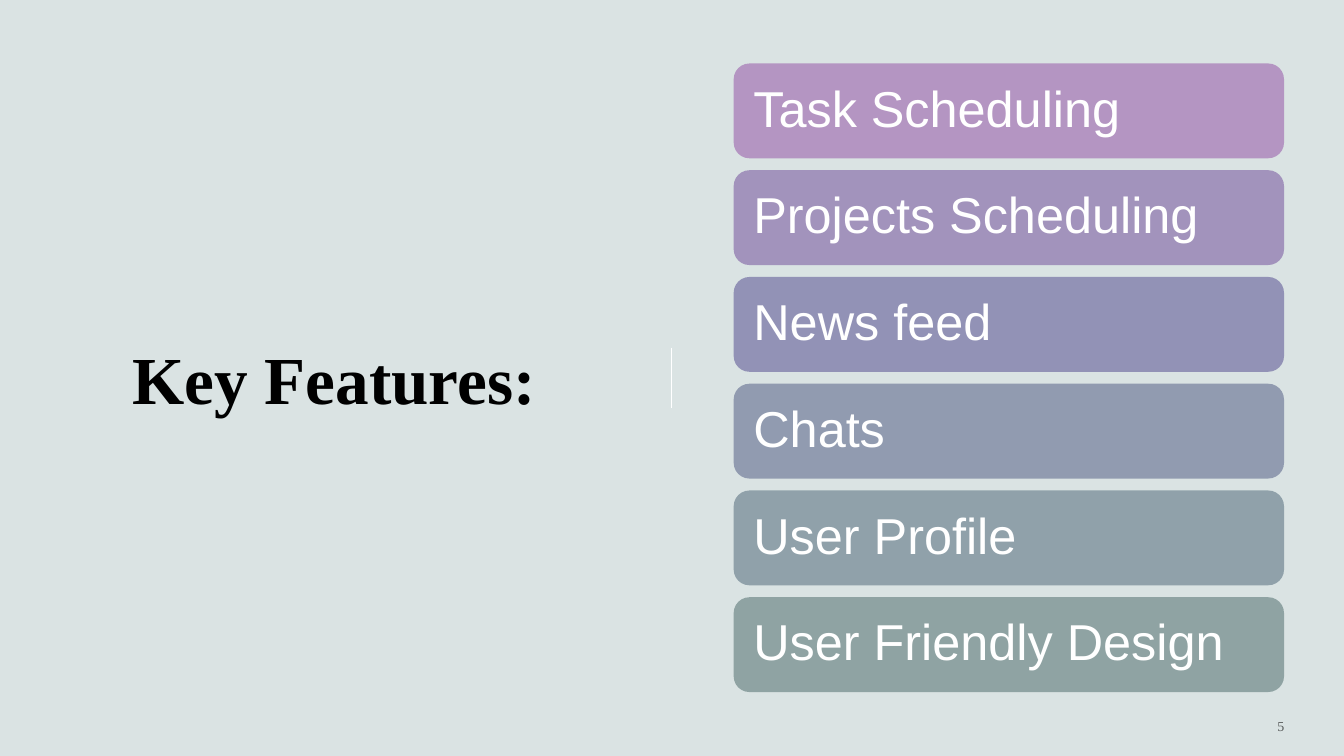
import dataclasses

import lxml.etree
import pptx
import pptx.dml.color
import pptx.enum.shapes
import pptx.enum.text
import pptx.oxml.ns
import pptx.shapes.base
import pptx.slide
import pptx.text.text
import pptx.util

Cm = pptx.util.Cm
Pt = pptx.util.Pt
ALIGN = pptx.enum.text.PP_ALIGN
ANCHOR = pptx.enum.text.MSO_ANCHOR

COLOURS: dict[str, str] = {
    "background": "DAE3E3",
    "dark": "000000",
    "light": "FFFFFF",
    "task": "B495C2",
    "projects": "A293BC",
    "news": "9292B6",
    "chats": "919BB0",
    "profile": "90A1AA",
    "design": "8FA3A3",
}

FRAME_FORMAT = {
    "word_wrap": True,
    "vertical_anchor": ANCHOR.MIDDLE,
    "auto_size": pptx.enum.text.MSO_AUTO_SIZE.NONE,
}
BAR_MARGINS = {
    f"margin_{side}": Cm(0.38) for side in ("left", "top", "right", "bottom")
}
TITLE_FONT = {"name": "Times New Roman", "size": Pt(48), "bold": True}
FEATURE_FONT = {"name": "Arial", "size": Pt(36)}
NUMBER_FONT = {"name": "Times New Roman", "size": Pt(10)}

BAR_LEFT, BAR_TOP, BAR_WIDTH, BAR_HEIGHT, BAR_PITCH = 18.49, 1.6, 13.87, 2.39, 2.69


@dataclasses.dataclass(frozen=True)
class Feature:
    wording: str
    colour: str


FEATURES = [
    Feature("Task Scheduling", "task"),
    Feature("Projects Scheduling", "projects"),
    Feature("News feed", "news"),
    Feature("Chats", "chats"),
    Feature("User Profile", "profile"),
    Feature("User Friendly Design", "design"),
]


def rgb(colour: str) -> pptx.dml.color.RGBColor:
    return pptx.dml.color.RGBColor.from_string(COLOURS[colour])


def apply_format(target: object, values: dict) -> None:
    for attribute, value in values.items():
        setattr(target, attribute, value)


def write(
    holder: pptx.shapes.base.BaseShape,
    wording: str,
    font: dict,
    colour: str,
    alignment: ALIGN,
) -> pptx.text.text._Run:
    """Put one formatted, vertically centred line into a shape."""
    apply_format(holder.text_frame, FRAME_FORMAT)
    paragraph = holder.text_frame.paragraphs[0]
    paragraph.alignment = alignment
    run = paragraph.add_run()
    run.text = wording
    apply_format(run.font, font)
    run.font.color.rgb = rgb(colour)
    return run


def add_title(slide: pptx.slide.Slide) -> None:
    title = slide.shapes.title
    place = {"left": Cm(3), "top": Cm(3), "width": Cm(10.85), "height": Cm(13.03)}
    apply_format(title, place)
    write(title, "Key Features:", TITLE_FONT, "dark", ALIGN.CENTER)


def add_divider(slide: pptx.slide.Slide) -> None:
    divider = slide.shapes.add_connector(
        pptx.enum.shapes.MSO_CONNECTOR.STRAIGHT,
        Cm(16.93), Cm(8.76), Cm(16.93), Cm(10.29),
    )
    divider.line.color.rgb = rgb("light")
    divider.line.width = Pt(1)
    lxml.etree.SubElement(
        divider._element.spPr, pptx.oxml.ns.qn("a:effectLst")
    )


def add_page_number(slide: pptx.slide.Slide) -> None:
    page_number = slide.shapes.add_textbox(Cm(27.74), Cm(17.65), Cm(4.88), Cm(1.27))
    run = write(page_number, "5", NUMBER_FONT, "dark", ALIGN.RIGHT)
    page_number.text_frame.paragraphs[0].space_after = Pt(6)
    # 60 % opaque, with slightly wide letter spacing
    properties = run.font._element
    properties.set("spc", "200")
    ink = properties.find(".//" + pptx.oxml.ns.qn("a:srgbClr"))
    lxml.etree.SubElement(ink, pptx.oxml.ns.qn("a:alpha"), val="60000")


def add_feature(slide: pptx.slide.Slide, feature: Feature, row: int) -> None:
    bar = slide.shapes.add_shape(
        pptx.enum.shapes.MSO_SHAPE.ROUNDED_RECTANGLE,
        Cm(BAR_LEFT), Cm(BAR_TOP + row * BAR_PITCH), Cm(BAR_WIDTH), Cm(BAR_HEIGHT),
    )
    bar.shadow.inherit = False
    bar.fill.solid()
    bar.fill.fore_color.rgb = rgb(feature.colour)
    bar.line.fill.background()
    write(bar, feature.wording, FEATURE_FONT, "light", ALIGN.LEFT)
    apply_format(bar.text_frame, BAR_MARGINS)
    bar.text_frame.paragraphs[0].line_spacing = 0.9


def main() -> None:
    deck = pptx.Presentation()
    apply_format(deck, {"slide_width": Cm(33.87), "slide_height": Cm(19.05)})

    # Title-only slide with a plain background
    slide = deck.slides.add_slide(deck.slide_layouts[5])
    slide.background.fill.solid()
    slide.background.fill.fore_color.rgb = rgb("background")

    # Left side, divider and page number
    add_title(slide)
    add_divider(slide)
    add_page_number(slide)

    # Stack of feature bars
    for row, feature in enumerate(FEATURES):
        add_feature(slide, feature, row)

    deck.save("out.pptx")


if __name__ == "__main__":
    main()
